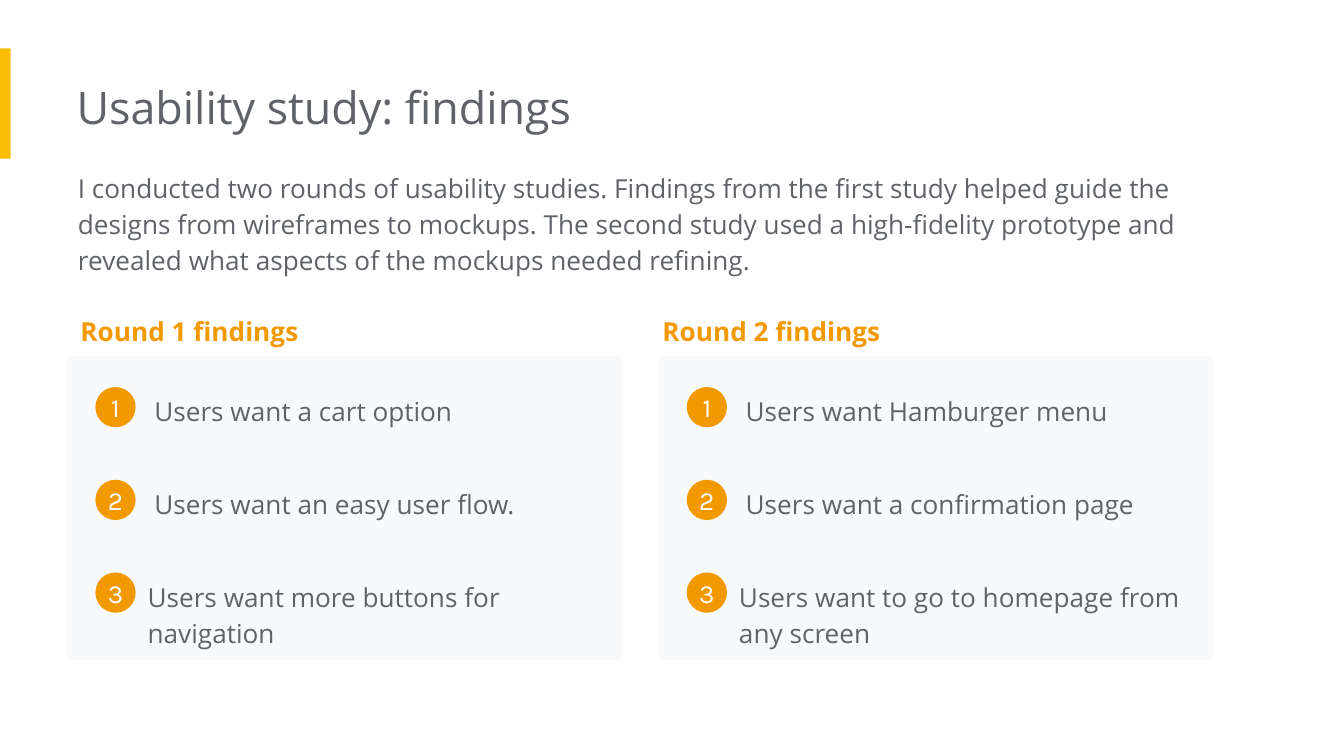
from pptx import Presentation
from pptx.dml.color import RGBColor
from pptx.enum.shapes import MSO_SHAPE
from pptx.enum.text import MSO_ANCHOR, PP_ALIGN
from pptx.util import Inches, Pt

RECTANGLE, OVAL = MSO_SHAPE.RECTANGLE, MSO_SHAPE.OVAL
MIDDLE, CENTER = MSO_ANCHOR.MIDDLE, PP_ALIGN.CENTER

TITLE = "Usability study: findings"
INTRO = (
    "I conducted two rounds of usability studies. Findings from the first study "
    "helped guide the designs from wireframes to mockups. The second study used "
    "a high-fidelity prototype and revealed what aspects of the mockups needed refining."
)
ROUNDS = [
    {"heading": "Round 1 findings", "heading_left": 0.5, "panel_left": 0.5,
     "findings": ["Users want a cart option",
                  "Users want an easy user flow.",
                  "Users want more buttons for navigation"]},
    {"heading": "Round 2 findings", "heading_left": 4.83, "panel_left": 4.9,
     "findings": ["Users want Hamburger menu",
                  "Users want a confirmation page",
                  "Users want to go to homepage from any screen"]},
]
FINDING_LAYOUT = [(0.55, 0.44), (0.55, 0.44), (0.5, 0.71)]

GREY, ORANGE, YELLOW, PALE, WHITE = "5F6368", "F29900", "FBBC04", "F8F9FA", "FFFFFF"
BODY_FONT, NUMBER_FONT = "Open Sans", "Karla"
SLIDE_WIDTH = 10
SLIDE_HEIGHT = SLIDE_WIDTH * 9 / 16
PANEL_TOP, FIRST_TOP, ROW_STEP = 2.65, 2.81, 0.69


def color(hex_code):
    """Turn a hex string into a colour."""
    return RGBColor.from_string(hex_code)


def add_run(paragraph, text, size, font, hex_code, bold=False):
    """Append a styled run to a paragraph."""
    run = paragraph.add_run()
    run.text = text
    run.font.size = Pt(size)
    run.font.name = font
    run.font.bold = bold
    run.font.color.rgb = color(hex_code)


def add_text(slide, box, text, size=14, hex_code=GREY, bold=False, inset=0.1, spacing=1.15):
    """Add a wrapped text box."""
    frame = slide.shapes.add_textbox(*map(Inches, box)).text_frame
    frame.word_wrap = True
    frame.margin_left = Inches(inset)
    frame.margin_right = frame.margin_top = frame.margin_bottom = Inches(0.1)
    paragraph = frame.paragraphs[0]
    paragraph.line_spacing = spacing
    add_run(paragraph, text, size, BODY_FONT, hex_code, bold)


def add_block(slide, kind, box, hex_code):
    """Add a flat filled shape without outline."""
    block = slide.shapes.add_shape(kind, *map(Inches, box))
    block.shadow.inherit = False
    block.fill.solid()
    block.fill.fore_color.rgb = color(hex_code)
    block.line.fill.background()
    return block


def add_badge(slide, left, top, number):
    """Add a numbered circle."""
    frame = add_block(slide, OVAL, (left, top, 0.3, 0.3), ORANGE).text_frame
    frame.margin_left = frame.margin_right = frame.margin_top = frame.margin_bottom = 0
    frame.vertical_anchor = MIDDLE
    frame.paragraphs[0].alignment = CENTER
    add_run(frame.paragraphs[0], str(number), 14, NUMBER_FONT, WHITE)


def add_round(slide, study_round):
    """Add one heading with its panel of numbered findings."""
    left = study_round["panel_left"]
    add_text(slide, (study_round["heading_left"], 2.21, 3.65, 0.44),
             study_round["heading"], hex_code=ORANGE, bold=True)
    add_block(slide, RECTANGLE, (left, PANEL_TOP, 4.13, 2.26), PALE)
    rows = zip(study_round["findings"], FINDING_LAYOUT)
    for index, (finding, (indent, height)) in enumerate(rows):
        top = FIRST_TOP + index * ROW_STEP
        add_text(slide, (left + indent, top, 3.65, height), finding)
        add_badge(slide, left + 0.21, top + 0.07, index + 1)


def main():
    """Build and save the slide."""
    deck = Presentation()
    deck.slide_width, deck.slide_height = Inches(SLIDE_WIDTH), Inches(SLIDE_HEIGHT)
    slide = deck.slides.add_slide(deck.slide_layouts[6])
    add_block(slide, RECTANGLE, (0, 0.36, 0.08, 0.82), YELLOW)
    add_text(slide, (0.57, 0.49, 6.73, 0.61), TITLE, size=24, inset=0, spacing=1.0)
    add_text(slide, (0.58, 1.15, 8.61, 1.25), INTRO, inset=0)
    for study_round in ROUNDS:
        add_round(slide, study_round)
    deck.save("out.pptx")


if __name__ == "__main__":
    main()
